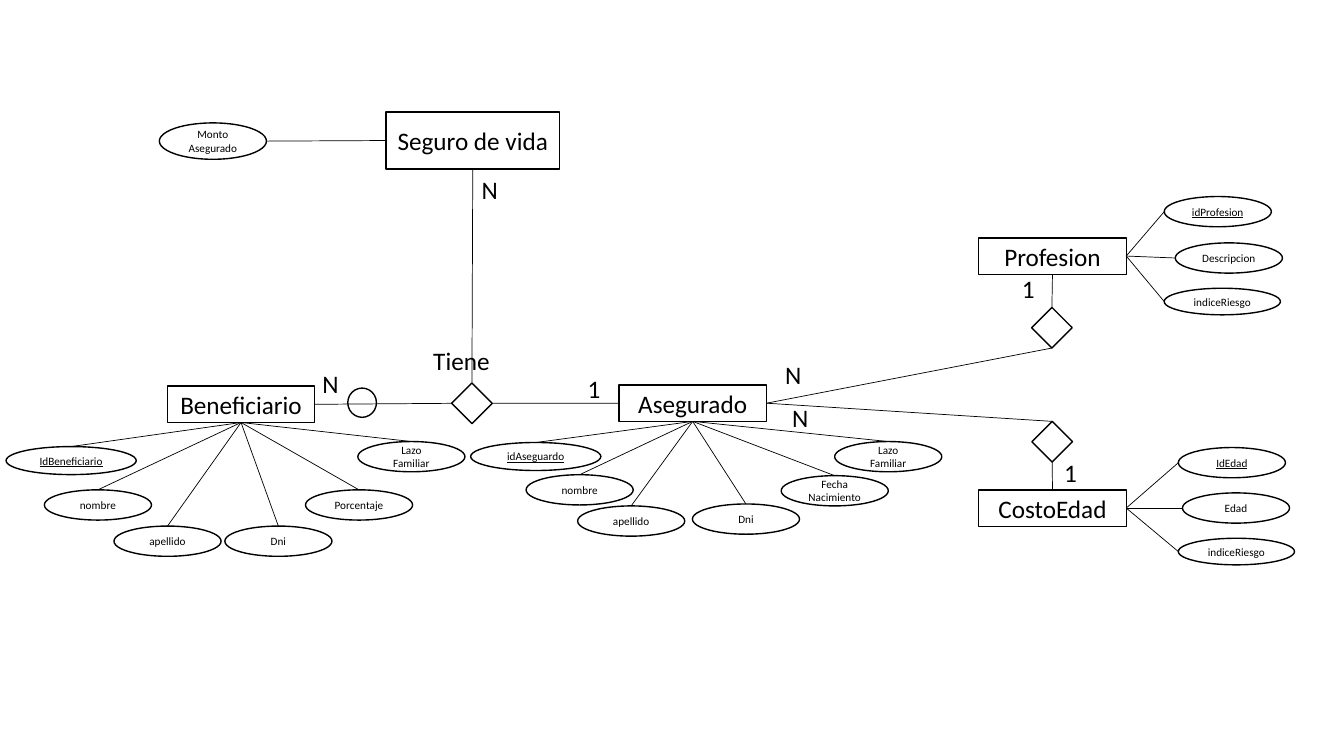
from lxml.etree import SubElement
from pptx import Presentation
from pptx.dml.color import RGBColor
from pptx.enum.shapes import MSO_CONNECTOR, MSO_SHAPE
from pptx.enum.text import MSO_ANCHOR, PP_ALIGN
from pptx.oxml.ns import qn
from pptx.util import Pt

COLORS = {"ink": "000000", "paper": "FFFFFF"}
INK = RGBColor.from_string(COLORS["ink"])
PAPER = RGBColor.from_string(COLORS["paper"])
TOP, LEFT, BOTTOM, RIGHT = range(4)

deck = Presentation()
deck.slide_width, deck.slide_height = Pt(960), Pt(540)
page = deck.slides.add_slide(deck.slide_layouts[6])


def add_node(kind, left, top, width, height, text="", size=18, key=False):
    node = page.shapes.add_shape(kind, Pt(left), Pt(top), Pt(width), Pt(height))
    node.shadow.inherit = False
    node.fill.solid()
    node.fill.fore_color.rgb = PAPER
    node.line.color.rgb = INK
    node.line.width = Pt(1)
    frame = node.text_frame
    frame.margin_left = frame.margin_right = frame.margin_top = frame.margin_bottom = 0
    frame.word_wrap = True
    frame.vertical_anchor = MSO_ANCHOR.MIDDLE
    frame.text = text
    for para in frame.paragraphs:
        para.alignment = PP_ALIGN.CENTER
        para.font.name = "Calibri"
        for span in para.runs:
            span.font.name = "Calibri"
            span.font.size = Pt(size)
            span.font.color.rgb = INK
            span.font.underline = key
    return node


def add_link(start, start_site, end=None, end_site=None, point=(0, 0)):
    link = page.shapes.add_connector(MSO_CONNECTOR.STRAIGHT, 0, 0, *point)
    link.begin_connect(start, start_site)
    if end is not None:
        link.end_connect(end, end_site)
    link.line.color.rgb = INK
    link.line.width = Pt(0.5)
    SubElement(link.element.spPr, qn("a:effectLst"))


add_node(MSO_SHAPE.OVAL, 248.4, 277.2, 20.5, 20.9)

entity_boxes = {
    "Seguro de vida": (275.8, 79.9, 123.8, 41),
    "Beneficiario": (119.5, 275.8, 105.4, 26),
    "Asegurado": (442.1, 275, 105.4, 26),
    "Profesion": (699.1, 169.9, 105.4, 26),
    "CostoEdad": (699.1, 349.9, 105.4, 26),
}
entities = {
    name: add_node(MSO_SHAPE.RECTANGLE, *place, name)
    for name, place in entity_boxes.items()
}

NORMAL, LONG_KEY, RISK, AMOUNT = (76.5, 21.6), (93, 20), (83, 19), (76.5, 26)
attributes = {
    ("Seguro de vida", LEFT): [("Monto\nAsegurado", 113.8, 87.8, AMOUNT)],
    ("Beneficiario", BOTTOM): [
        ("IdBeneficiario", 4.3, 319, LONG_KEY),
        ("nombre", 31.7, 349.9, NORMAL),
        ("apellido", 81.4, 375.8, NORMAL),
        ("Dni", 160.6, 375.8, NORMAL),
        ("Porcentaje", 218.2, 349.9, NORMAL),
        ("Lazo\nFamiliar", 255.6, 315.4, NORMAL),
    ],
    ("Asegurado", BOTTOM): [
        ("idAseguardo", 336.2, 316.1, LONG_KEY),
        ("nombre", 375.8, 339.1, NORMAL),
        ("apellido", 412.6, 361.4, NORMAL),
        ("Dni", 494.6, 360, NORMAL),
        ("Fecha\nNacimiento", 558, 339.8, NORMAL),
        ("Lazo\nFamiliar", 596.2, 315.4, NORMAL),
    ],
    ("Profesion", RIGHT): [
        ("idProfesion", 831.6, 140.4, NORMAL),
        ("Descripcion", 839.5, 173.5, NORMAL),
        ("indiceRiesgo", 831.6, 205.9, RISK),
    ],
    ("CostoEdad", RIGHT): [
        ("IdEdad", 841.7, 319.7, NORMAL),
        ("Edad", 844.6, 352.1, NORMAL),
        ("indiceRiesgo", 841.7, 384.5, RISK),
    ],
}
for (entity, side), ovals in attributes.items():
    for name, left, top, (width, height) in ovals:
        key = name.lower().startswith("id")
        oval = add_node(MSO_SHAPE.OVAL, left, top, width, height, name, 8, key)
        if side == BOTTOM:
            add_link(entities[entity], side, oval, TOP)
        else:
            edge = left + width if side == LEFT else left
            add_link(entities[entity], side, point=(Pt(edge), Pt(top + height / 2)))

has, profession_link, age_link = [
    add_node(MSO_SHAPE.DIAMOND, left, top, 29, 29)
    for left, top in [(322.6, 273.6), (736.9, 219.6), (737.1, 301)]
]
for start, start_site, end, end_site in [
    (entities["Asegurado"], LEFT, has, RIGHT),
    (has, LEFT, entities["Beneficiario"], RIGHT),
    (has, TOP, entities["Seguro de vida"], BOTTOM),
    (profession_link, TOP, entities["Profesion"], BOTTOM),
    (entities["CostoEdad"], TOP, age_link, BOTTOM),
    (entities["Asegurado"], RIGHT, age_link, TOP),
    (profession_link, BOTTOM, entities["Asegurado"], RIGHT),
]:
    add_link(start, start_site, end, end_site)

for text, left, top, width in [
    ("N", 558.7, 283.7, 23.8),
    ("1", 753.1, 323.3, 23.8),
    ("1", 722.9, 191.5, 23.8),
    ("N", 553.7, 253.4, 23.8),
    ("N", 223.2, 259.2, 23.8),
    ("1", 412.6, 262.8, 23.8),
    ("N", 337, 121, 23.8),
    ("Tiene", 302.4, 243.4, 55.4),
]:
    box = page.shapes.add_textbox(Pt(left), Pt(top), Pt(width), Pt(29))
    box.text_frame.word_wrap = text != "Tiene"
    box.text_frame.text = text
    span = box.text_frame.paragraphs[0].runs[0]
    span.font.name = "Calibri"
    span.font.size = Pt(18)
    span.font.color.rgb = INK

deck.save("out.pptx")
